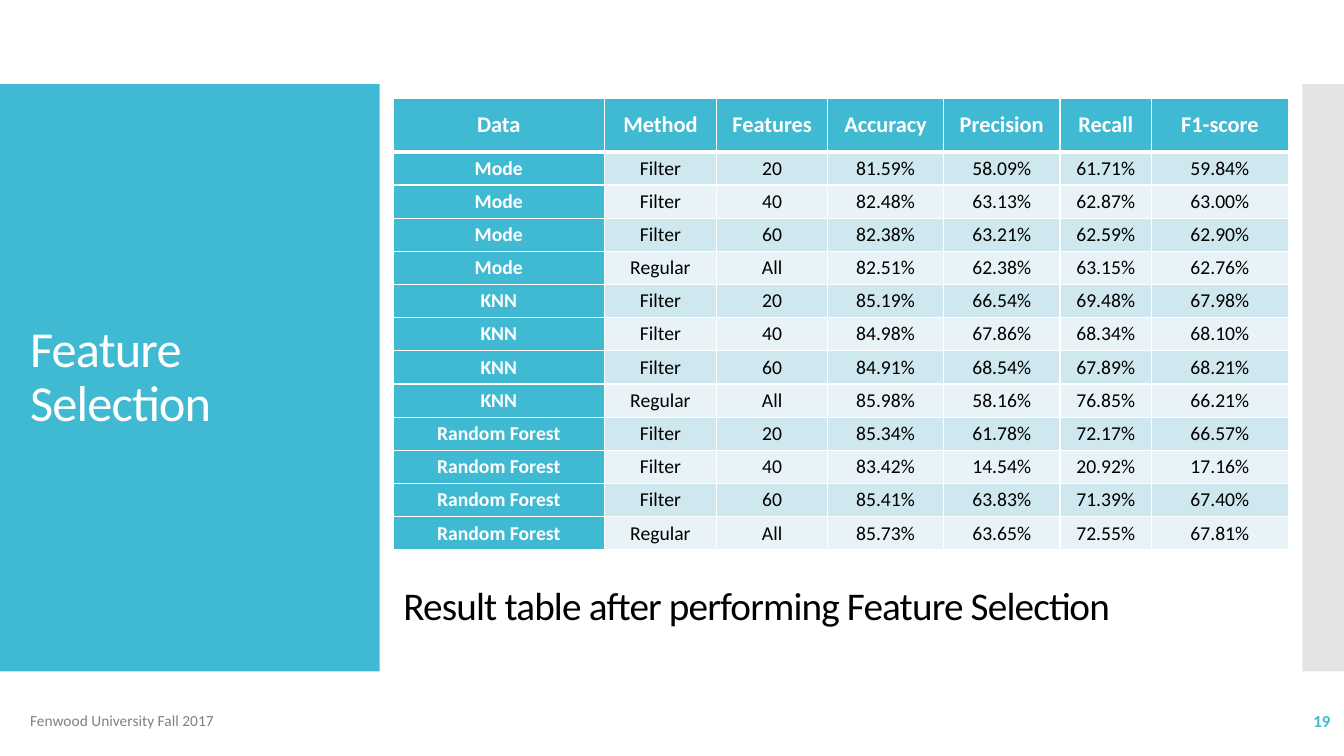
from lxml import etree
from pptx import Presentation
from pptx import util as u
from pptx.dml import color
from pptx.enum import shapes, text
from pptx.oxml import ns

TEAL, WHITE, BLACK = "40BAD2", "FFFFFF", "000000"
BANDS = ("CFE7EE", "E8F3F7")
LEFT, CENTER, RIGHT = text.PP_ALIGN.LEFT, text.PP_ALIGN.CENTER, text.PP_ALIGN.RIGHT
BOTTOM, MIDDLE = text.MSO_ANCHOR.BOTTOM, text.MSO_ANCHOR.MIDDLE

COLUMNS = {"Data": 150.6, "Method": 80.4, "Features": 79.2, "Accuracy": 82.8,
           "Precision": 83.2, "Recall": 65.4, "F1-score": 97.6}
DATA = ("Mode", "KNN", "Random Forest")
SETTINGS = (("Filter", "20"), ("Filter", "40"), ("Filter", "60"), ("Regular", "All"))
SCORES = (
    (81.59, 58.09, 61.71, 59.84),
    (82.48, 63.13, 62.87, 63.00),
    (82.38, 63.21, 62.59, 62.90),
    (82.51, 62.38, 63.15, 62.76),
    (85.19, 66.54, 69.48, 67.98),
    (84.98, 67.86, 68.34, 68.10),
    (84.91, 68.54, 67.89, 68.21),
    (85.98, 58.16, 76.85, 66.21),
    (85.34, 61.78, 72.17, 66.57),
    (83.42, 14.54, 20.92, 17.16),
    (85.41, 63.83, 71.39, 67.40),
    (85.73, 63.65, 72.55, 67.81),
)


def rgb(value):
    return color.RGBColor.from_string(value)


class SlideBuilder:
    """Hold the deck style and the current slide, and add elements to it."""

    def __init__(self, prs, font="Calibri"):
        self.font = font
        self.slide = prs.slides.add_slide(prs.slide_layouts[5])

    def set_text(self, tf, content, size, ink, bold=False, align=LEFT, tight=False):
        tf.text = content
        p = tf.paragraphs[0]
        p.alignment = align
        r = p.runs[0]
        r.font.name, r.font.size, r.font.bold = self.font, u.Pt(size), bold
        r.font.color.rgb = rgb(ink)
        if tight:
            p.line_spacing = 0.9
            r._r.get_or_add_rPr().set("spc", "-60")

    def panel(self, x, y, w, h, fill, alpha=100):
        sp = self.slide.shapes.add_shape(
            shapes.MSO_SHAPE.RECTANGLE, u.Pt(x), u.Pt(y), u.Pt(w), u.Pt(h))
        sp.shadow.inherit = False
        sp.fill.solid()
        sp.fill.fore_color.rgb = rgb(fill)
        sp.line.fill.background()
        if alpha < 100:
            clr = sp._element.spPr.find(".//" + ns.qn("a:srgbClr"))
            etree.SubElement(clr, ns.qn("a:alpha"), val=str(alpha * 1000))

    def title(self, x, y, w, h, content, size, ink):
        sp = self.slide.shapes.title
        sp.left, sp.top, sp.width, sp.height = u.Pt(x), u.Pt(y), u.Pt(w), u.Pt(h)
        sp.text_frame.auto_size = text.MSO_AUTO_SIZE.NONE
        sp.text_frame.vertical_anchor = BOTTOM
        self.set_text(sp.text_frame, content, size, ink, tight=True)

    def label(self, x, y, w, h, content, size, ink, anchor=MIDDLE, **style):
        sp = self.slide.shapes.add_textbox(u.Pt(x), u.Pt(y), u.Pt(w), u.Pt(h))
        tf = sp.text_frame
        tf.word_wrap = True
        tf.vertical_anchor = anchor
        self.set_text(tf, content, size, ink, **style)

    def borders(self, cell, widths):
        tc_pr = cell._tc.get_or_add_tcPr()
        for i, (side, width) in enumerate(zip("LRTB", widths)):
            ln = etree.Element(ns.qn("a:ln" + side), w=str(u.Pt(width)))
            fill = etree.SubElement(ln, ns.qn("a:solidFill"))
            etree.SubElement(fill, ns.qn("a:srgbClr"), val=WHITE)
            tc_pr.insert(i, ln)

    def table(self, x, y, widths, rows, head_h, row_h):
        height = head_h + row_h * (len(rows) - 1)
        tbl = self.slide.shapes.add_table(
            len(rows), len(widths), u.Pt(x), u.Pt(y),
            u.Pt(sum(widths)), u.Pt(height)).table
        tbl.first_col, tbl.horz_banding = True, False
        for col, width in zip(tbl.columns, widths):
            col.width = u.Pt(width)
        for i, values in enumerate(rows):
            tbl.rows[i].height = u.Pt(row_h if i else head_h)
            for j, value in enumerate(values):
                cell = tbl.cell(i, j)
                heading = i == 0 or j == 0
                cell.margin_left = cell.margin_right = u.Pt(9.4)
                cell.margin_top = cell.margin_bottom = u.Pt(0)
                cell.vertical_anchor = MIDDLE
                cell.fill.solid()
                cell.fill.fore_color.rgb = rgb(TEAL if heading else BANDS[(i - 1) % 2])
                self.borders(cell, (1, 1, 3 if i == 1 else 1, 3 if i == 0 else 1))
                self.set_text(cell.text_frame, value, 14 if i else 16,
                              WHITE if heading else BLACK, heading, CENTER)


def main():
    prs = Presentation()
    prs.slide_width, prs.slide_height = u.Pt(960), u.Pt(540)
    s = SlideBuilder(prs)
    s.panel(0, 60, 271.2, 419.5, TEAL)
    s.panel(930.4, 60, 29.6, 419.5, "C8C8C8", alpha=50)
    s.title(281, 393, 639, 60, "Result table after performing Feature Selection", 28, BLACK)

    cases = [(data, *setting) for data in DATA for setting in SETTINGS]
    rows = [tuple(COLUMNS)]
    for case, scores in zip(cases, SCORES):
        rows.append(case + tuple(f"{score:.2f}%" for score in scores))
    s.table(281, 70.4, list(COLUMNS.values()), rows, 38, 23.7)

    s.label(14.4, 500.5, 465, 28.8, "Fenwood University Fall 2017", 11, "808080")
    s.label(837.4, 500.5, 120, 28.8, "19", 12, TEAL, bold=True, align=RIGHT)
    s.label(14.4, 215.3, 221.8, 97.2, "Feature Selection", 36, WHITE, BOTTOM, tight=True)
    prs.save("out.pptx")


if __name__ == "__main__":
    main()
